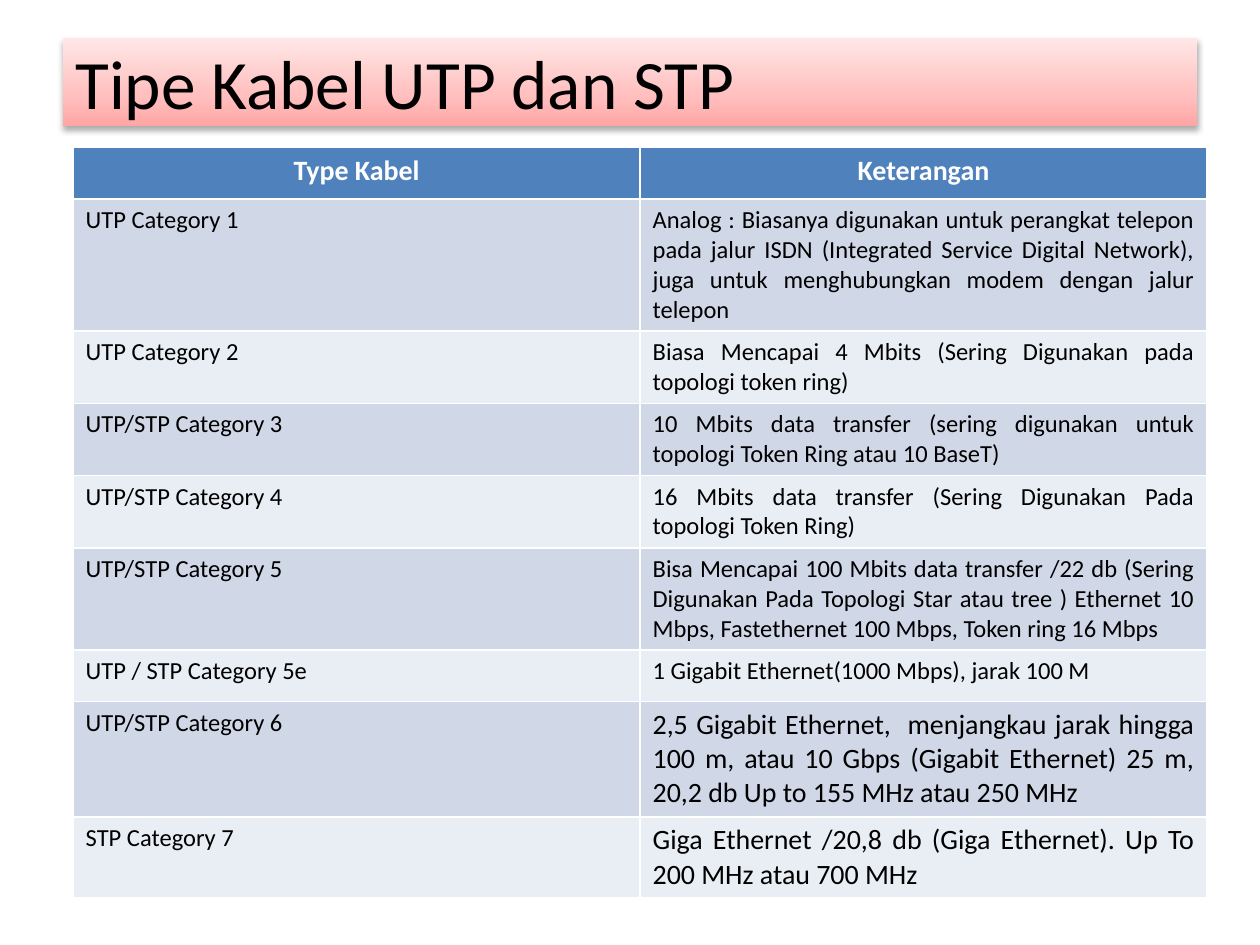
from pptx import Presentation
from pptx.dml.color import RGBColor
from pptx.enum.shapes import MSO_SHAPE
from pptx.enum.text import MSO_ANCHOR, PP_ALIGN
from pptx.oxml import parse_xml
from pptx.oxml.ns import nsdecls, qn
from pptx.util import Pt

PX = 9144
FONT = "Calibri"
BLACK = RGBColor(0x00, 0x00, 0x00)
WHITE = RGBColor(0xFF, 0xFF, 0xFF)
BLUE = RGBColor(0x4F, 0x81, 0xBD)
BAND_DARK = RGBColor(0xD0, 0xD8, 0xE8)
BAND_LIGHT = RGBColor(0xE9, 0xED, 0xF4)
PINK_STOPS = [
    (0, RGBColor(0xFF, 0xA6, 0xA5)),
    (35, RGBColor(0xFF, 0xC0, 0xBF)),
    (100, RGBColor(0xFF, 0xE7, 0xE7)),
]

HEADINGS = ("Type Kabel", "Keterangan")
CABLES = [
    ("UTP Category 1", "Analog : Biasanya digunakan untuk perangkat telepon pada jalur ISDN (Integrated Service Digital Network), juga untuk menghubungkan modem dengan jalur telepon", 14),
    ("UTP Category 2", "Biasa Mencapai 4 Mbits (Sering Digunakan pada topologi token ring)", 14),
    ("UTP/STP Category 3", "10 Mbits data transfer (sering digunakan untuk topologi Token Ring atau 10 BaseT)", 14),
    ("UTP/STP Category 4", "16 Mbits data transfer (Sering Digunakan Pada topologi Token Ring)", 14),
    ("UTP/STP Category 5", "Bisa Mencapai 100 Mbits data transfer /22 db (Sering Digunakan Pada Topologi Star atau tree ) Ethernet 10 Mbps, Fastethernet 100 Mbps, Token ring 16 Mbps", 14),
    ("UTP / STP Category 5e", "1 Gigabit Ethernet(1000 Mbps), jarak 100 M", 14),
    ("UTP/STP Category 6", "2,5 Gigabit Ethernet,  menjangkau jarak hingga 100 m, atau 10 Gbps (Gigabit Ethernet) 25 m, 20,2 db Up to 155 MHz atau 250 MHz", 16),
    ("STP Category 7", "Giga Ethernet /20,8 db (Giga Ethernet). Up To 200 MHz atau 700 MHz", 16),
]


def write(tf, text, size, color, align, bold=False):
    p = tf.paragraphs[0]
    p.text = text
    p.alignment = align
    p.font.name = FONT
    p.font.size = Pt(size)
    p.font.bold = bold
    p.font.color.rgb = color


def add_gradient(sp, stops, angle):
    gs = "".join(
        f'<a:gs pos="{pos * 1000}"><a:srgbClr val="{color}"/></a:gs>'
        for pos, color in stops
    )
    sp._element.spPr.find(qn("a:prstGeom")).addnext(parse_xml(
        f'<a:gradFill {nsdecls("a")} rotWithShape="1"><a:gsLst>{gs}</a:gsLst>'
        f'<a:lin ang="{angle * 60000}" scaled="0"/></a:gradFill>'
    ))


def add_shadow(sp, blur, distance, opacity):
    sp.shadow.inherit = False
    sp._element.spPr.find(qn("a:effectLst")).append(parse_xml(
        f'<a:outerShdw {nsdecls("a")} blurRad="{Pt(blur)}" dist="{Pt(distance)}" '
        f'dir="5400000" rotWithShape="0"><a:srgbClr val="{BLACK}">'
        f'<a:alpha val="{opacity * 1000}"/></a:srgbClr></a:outerShdw>'
    ))


def add_title(s, x, y, w, h):
    sp = s.shapes.add_shape(MSO_SHAPE.RECTANGLE, x * PX, y * PX, w * PX, h * PX)
    add_gradient(sp, PINK_STOPS, 270)
    sp.line.fill.background()
    add_shadow(sp, 3.5, 2.2, 32)
    tf = sp.text_frame
    tf.word_wrap = True
    tf.vertical_anchor = MSO_ANCHOR.MIDDLE
    write(tf, "Tipe Kabel UTP dan STP", 39.6, BLACK, PP_ALIGN.LEFT)


def fill_cell(cell, fill, *text_args):
    cell.fill.solid()
    cell.fill.fore_color.rgb = fill
    write(cell.text_frame, *text_args)


def add_cable_table(s, x, y, w, row_h):
    rows = len(CABLES) + 1
    table = s.shapes.add_table(
        rows, len(HEADINGS), x * PX, y * PX, w * PX, rows * row_h * PX
    ).table
    for c, heading in enumerate(HEADINGS):
        fill_cell(table.cell(0, c), BLUE, heading, 16, WHITE, PP_ALIGN.CENTER, True)
    for r, (cable, note, size) in enumerate(CABLES, 1):
        band = BAND_DARK if r % 2 else BAND_LIGHT
        fill_cell(table.cell(r, 0), band, cable, 14, BLACK, PP_ALIGN.LEFT)
        fill_cell(table.cell(r, 1), band, note, size, BLACK, PP_ALIGN.JUSTIFY)


def main():
    prs = Presentation()
    prs.slide_width = 1000 * PX
    prs.slide_height = 750 * PX
    s = prs.slides.add_slide(prs.slide_layouts[6])
    add_title(s, 50, 30, 900, 70)
    add_cable_table(s, 58, 117, 900, 41)
    prs.save("out.pptx")


if __name__ == "__main__":
    main()
